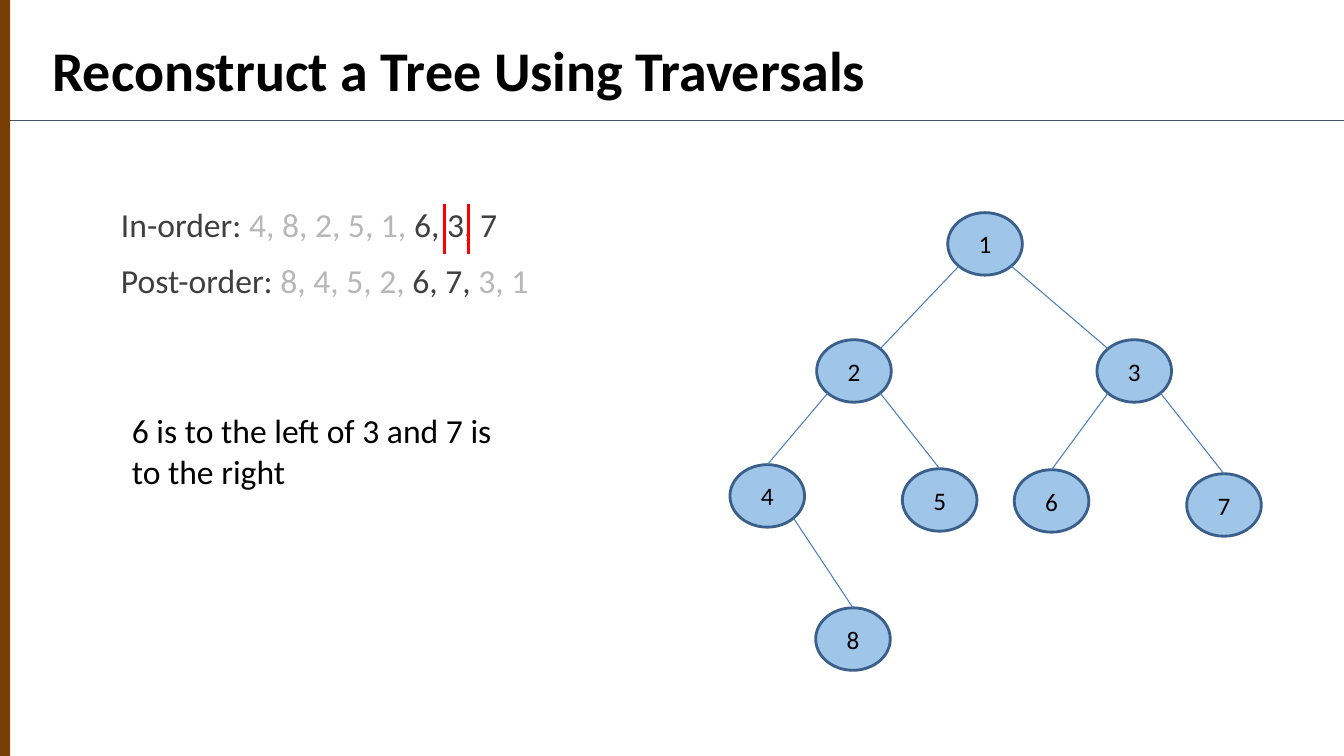
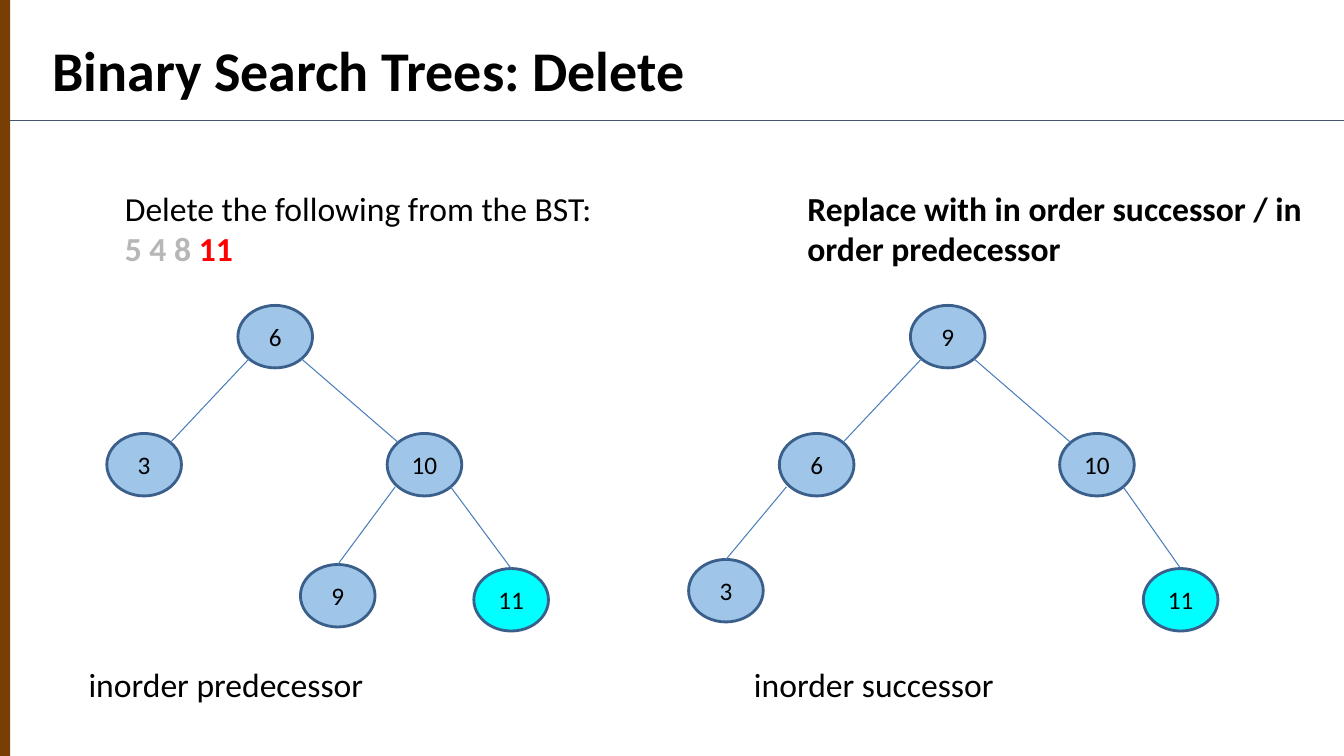
from dataclasses import dataclass

from lxml.etree import SubElement
from pptx import Presentation
from pptx.dml.color import RGBColor
from pptx.enum.shapes import MSO_CONNECTOR, MSO_SHAPE
from pptx.enum.text import MSO_ANCHOR, PP_ALIGN
from pptx.oxml.ns import qn
from pptx.shapes.autoshape import Shape
from pptx.shapes.connector import Connector
from pptx.slide import Slide
from pptx.util import Pt

EMU_PER_PX = 9144
SLIDE_WIDTH, SLIDE_HEIGHT = 1333, 750
FONT = "Calibri"
BLACK, CHARCOAL, VISITED, RED = "000000", "3F3F3F", "B7B7B7", "FF0000"
BROWN, RULE = "783F04", "44546A"
NODE_FILL, NODE_NEW, NODE_BORDER, EDGE = "9FC5E8", "00FFFF", "3A5F8B", "4A7EBB"
BAND_WIDTH, RULE_TOP = 10, 120
NODE_WIDTH, NODE_HEIGHT = 74, 62
SHOULDER_X = round(NODE_WIDTH / 2 * 0.5 ** 0.5)
SHOULDER_Y = round(NODE_HEIGHT / 2 * 0.5 ** 0.5)


@dataclass(frozen=True)
class Phrase:
    text: str
    color: str = BLACK
    bold: bool = False


@dataclass(frozen=True)
class Passage:
    left: int
    top: int
    width: int
    height: int
    lines: list[list[Phrase]]
    size: int = 24
    margin_x: int = 10
    margin_y: int = 10
    line_spacing: float = 1.0
    space_before: int = 0


@dataclass(frozen=True)
class Node:
    label: str
    left: int
    top: int
    parent: str = ""
    fill: str = NODE_FILL
    edge_gap: int = 0

    @property
    def center(self) -> tuple[int, int]:
        return self.left + NODE_WIDTH // 2, self.top + NODE_HEIGHT // 2


@dataclass(frozen=True)
class Page:
    title: str
    passages: list[Passage]
    trees: list[list[Node]]
    cuts: tuple[int, ...] = ()


PAGES = [
    Page(
        "Reconstruct a Tree Using Traversals",
        [
            Passage(
                120, 202, 500, 120,
                [
                    [
                        Phrase("In-order: ", CHARCOAL),
                        Phrase("4, 8, 2, 5, 1,", VISITED),
                        Phrase(" 6, 3, 7", CHARCOAL),
                    ],
                    [
                        Phrase("Post-order: ", CHARCOAL),
                        Phrase("8, 4, 5, 2,", VISITED),
                        Phrase(" 6, 7, ", CHARCOAL),
                        Phrase("3, 1", VISITED),
                    ],
                ],
                margin_x=0, margin_y=5, line_spacing=0.9, space_before=14,
            ),
            Passage(121, 397, 410, 100,
                    [[Phrase("6 is to the left of 3 and 7 is to the right")]]),
        ],
        [[
            Node("1", 940, 211),
            Node("2", 810, 337, "1"),
            Node("3", 1088, 337, "1"),
            Node("4", 724, 461, "2"),
            Node("5", 895, 465, "2"),
            Node("6", 1006, 466, "3"),
            Node("7", 1177, 470, "3"),
            Node("8", 809, 603, "4"),
        ]],
        cuts=(441, 465),
    ),
    Page(
        "Binary Search Trees: Delete",
        [
            Passage(
                114, 176, 502, 100,
                [
                    [Phrase("Delete the following from the BST:")],
                    [Phrase("5 4 8 ", VISITED, True), Phrase("11", RED, True)],
                ],
            ),
            Passage(791, 176, 517, 100,
                    [[Phrase("Replace with in order successor / in order predecessor", bold=True)]]),
            Passage(78, 649, 426, 60, [[Phrase("inorder predecessor")]]),
            Passage(738, 649, 426, 60, [[Phrase("inorder successor")]]),
        ],
        [
            [
                Node("6", 236, 303),
                Node("3", 106, 430, "6"),
                Node("10", 384, 430, "6"),
                Node("9", 298, 560, "10", edge_gap=3),
                Node("11", 470, 564, "10", NODE_NEW),
            ],
            [
                Node("9", 903, 303),
                Node("6", 773, 430, "9"),
                Node("10", 1051, 430, "9"),
                Node("3", 683, 555, "6", edge_gap=4),
                Node("11", 1134, 564, "10", NODE_NEW),
            ],
        ],
    ),
]


def px(length: int) -> int:
    return length * EMU_PER_PX


def rgb(color: str) -> RGBColor:
    return RGBColor.from_string(color)


def draw_line(slide: Slide, start: tuple[int, int], end: tuple[int, int],
              color: str, weight: float = 0.75) -> Connector:
    line = slide.shapes.add_connector(
        MSO_CONNECTOR.STRAIGHT, *(px(length) for length in (*start, *end)))
    line.line.color.rgb = rgb(color)
    line.line.width = Pt(weight)
    SubElement(line._element.spPr, qn("a:effectLst"))
    return line


def draw_filled(slide: Slide, kind: MSO_SHAPE, left: int, top: int,
                width: int, height: int, fill: str) -> Shape:
    shape = slide.shapes.add_shape(kind, px(left), px(top), px(width), px(height))
    shape.shadow.inherit = False
    shape.fill.solid()
    shape.fill.fore_color.rgb = rgb(fill)
    return shape


def draw_passage(slide: Slide, passage: Passage) -> None:
    frame = slide.shapes.add_textbox(
        px(passage.left), px(passage.top), px(passage.width), px(passage.height)).text_frame
    frame.word_wrap = True
    frame.margin_left = frame.margin_right = px(passage.margin_x)
    frame.margin_top = frame.margin_bottom = px(passage.margin_y)
    for index, phrases in enumerate(passage.lines):
        paragraph = frame.add_paragraph() if index else frame.paragraphs[0]
        paragraph.line_spacing = passage.line_spacing
        if index:
            paragraph.space_before = Pt(passage.space_before)
        for phrase in phrases:
            run = paragraph.add_run()
            run.text = phrase.text
            run.font.name = FONT
            run.font.size = Pt(passage.size)
            run.font.bold = phrase.bold
            run.font.color.rgb = rgb(phrase.color)


def draw_node(slide: Slide, node: Node) -> Shape:
    oval = draw_filled(slide, MSO_SHAPE.OVAL, node.left, node.top,
                       NODE_WIDTH, NODE_HEIGHT, node.fill)
    oval.line.color.rgb = rgb(NODE_BORDER)
    oval.line.width = Pt(2)
    frame = oval.text_frame
    frame.text = node.label
    frame.vertical_anchor = MSO_ANCHOR.MIDDLE
    paragraph = frame.paragraphs[0]
    paragraph.alignment = PP_ALIGN.CENTER
    font = paragraph.runs[0].font
    font.name = FONT
    font.size = Pt(18)
    font.color.rgb = rgb(BLACK)
    return oval


def draw_tree(slide: Slide, nodes: list[Node]) -> None:
    by_label = {node.label: node for node in nodes}
    ovals = {node.label: draw_node(slide, node) for node in nodes}
    for child in nodes:
        if not child.parent:
            continue
        parent = by_label[child.parent]
        parent_x, parent_y = parent.center
        child_x, child_y = child.center
        side = 1 if child_x > parent_x else -1
        start = (parent_x + side * (SHOULDER_X + child.edge_gap), parent_y + SHOULDER_Y)
        if parent.parent:
            edge = draw_line(slide, start, (child_x, child.top), EDGE)
            edge.end_connect(ovals[child.label], 0)
        else:
            draw_line(slide, start, (child_x - side * SHOULDER_X, child_y - SHOULDER_Y), EDGE)


def draw_page(slide: Slide, page: Page) -> None:
    draw_line(slide, (BAND_WIDTH, RULE_TOP), (SLIDE_WIDTH, RULE_TOP), RULE)
    band = draw_filled(slide, MSO_SHAPE.RECTANGLE, 0, 0, BAND_WIDTH, SLIDE_HEIGHT, BROWN)
    band.line.fill.background()
    draw_passage(slide, Passage(42, 25, 1291, 90, [[Phrase(page.title, bold=True)]], size=40))
    for passage in page.passages:
        draw_passage(slide, passage)
    for tree in page.trees:
        draw_tree(slide, tree)
    for cut in page.cuts:
        draw_line(slide, (cut, 202), (cut, 252), RED, 2.25)


def main() -> None:
    deck = Presentation()
    deck.slide_width, deck.slide_height = px(SLIDE_WIDTH), px(SLIDE_HEIGHT)
    for page in PAGES:
        draw_page(deck.slides.add_slide(deck.slide_layouts[6]), page)
    deck.save("out.pptx")


if __name__ == "__main__":
    main()
